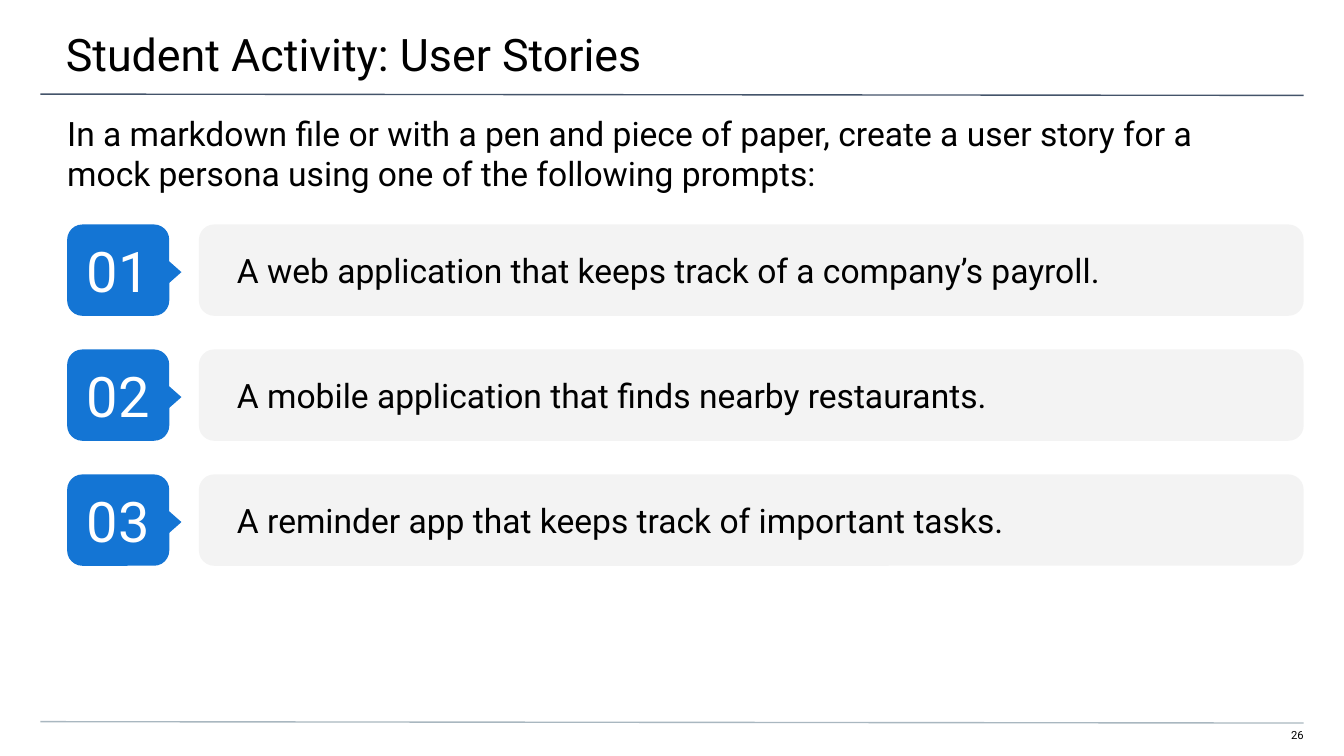
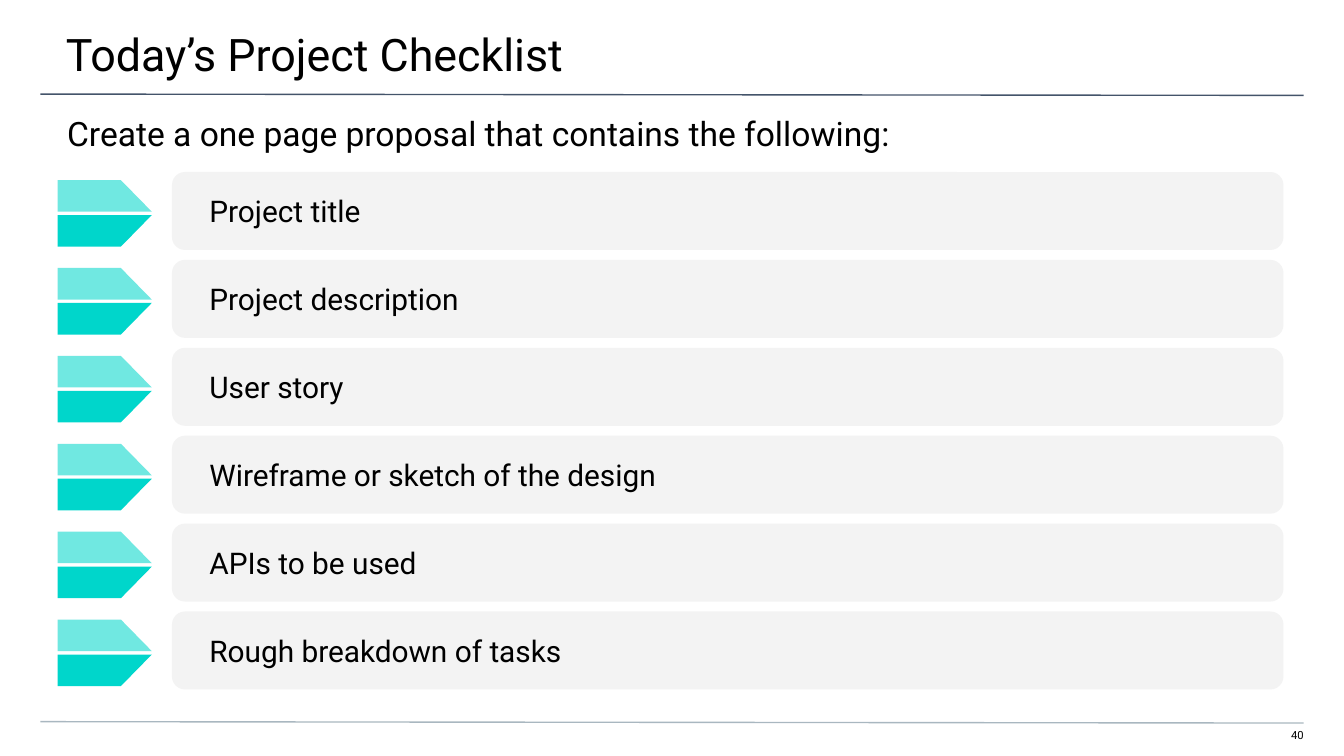
"""Build two lesson slides with numbered prompts and a checklist."""
from dataclasses import dataclass
from typing import Any, NamedTuple

from lxml.etree import SubElement
from pptx import Presentation
from pptx.dml.color import RGBColor
from pptx.enum.shapes import MSO_CONNECTOR, MSO_SHAPE
from pptx.enum.text import MSO_ANCHOR, PP_ALIGN
from pptx.oxml.ns import qn
from pptx.util import Emu, Inches, Pt

COLS, ROWS = 100, 56.25
CELL = Inches(10) / COLS


@dataclass(frozen=True)
class Theme:
    """Colours, type sizes and the font that the slides share."""
    face: str = "Roboto"
    ink: str = "000000"
    white: str = "FFFFFF"
    navy: str = "44546A"
    steel: str = "A9B7C0"
    panel: str = "F3F3F3"
    blue: str = "1475D4"
    teal: str = "00D6CB"
    faint: int = 56
    head: int = 24
    lead: int = 18
    item: int = 16
    badge: int = 30
    foot: int = 6
    rule: float = 0.75
    curve: float = 0.167


class Box(NamedTuple):
    """A place on the grid, in columns and rows."""
    left: float
    top: float
    width: float
    height: float

    def down(self, rows: float) -> "Box":
        """Return the same box moved down."""
        return self._replace(top=self.top + rows)


class Pad(NamedTuple):
    """Text insets in grid cells."""
    left: float
    top: float
    right: float
    bottom: float


class Stack(NamedTuple):
    """A column of equal panels and the step between them."""
    first: Box
    step: float
    size: int
    items: tuple[str, ...]


THEME = Theme()
TITLE, LEAD, PAGE = Box(0, 0, 100, 5.8), Box(0, 7.4, 100, 4), Box(94.1, 54.2, 2.9, 1.2)
RULES = ((7, THEME.navy), (53.7, THEME.steel))
EVEN = Pad(1, 1, 1, 1)
BADGE, TIP = Box(5, 16.7, 7.6, 6.8), Box(10.6, 19.2, 3.7, 2.1)
ARROW, NOTCH, SEAM = Box(4.3, 13.4, 7, 2.35), 2.3, 0.25
PROMPTS = Stack(Box(14.8, 16.7, 82.2, 6.8), 9.3, THEME.lead, (
    "A web application that keeps track of a company’s payroll.",
    "A mobile application that finds nearby restaurants.",
    "A reminder app that keeps track of important tasks.",
))
CHECKS = Stack(Box(12.8, 12.8, 82.7, 5.8), 6.54, THEME.item, (
    "Project title",
    "Project description",
    "User story",
    "Wireframe or sketch of the design",
    "APIs to be used",
    "Rough breakdown of tasks",
))


def grid(cells: float) -> Emu:
    """Turn grid cells into a length."""
    return Emu(round(cells * CELL))


def place(box: Box) -> list[Emu]:
    """Turn a box into slide lengths."""
    return [grid(side) for side in box]


def tint(code: str) -> RGBColor:
    """Turn a hex code into a colour."""
    return RGBColor.from_string(code)


def apply(target: Any, values: dict[str, Any]) -> None:
    """Set each named value on the target."""
    for name, value in values.items():
        setattr(target, name, value)


def write(shape: Any, text: str, size: int, pad: Pad, ink: str = THEME.ink,
          align: PP_ALIGN = PP_ALIGN.LEFT, anchor: MSO_ANCHOR = MSO_ANCHOR.TOP) -> None:
    """Put one styled paragraph in a shape."""
    frame = shape.text_frame
    apply(frame, {"word_wrap": True, "vertical_anchor": anchor})
    apply(frame, {f"margin_{side}": grid(gap) for side, gap in pad._asdict().items()})
    para = frame.paragraphs[0]
    para.alignment = align
    run = para.add_run()
    run.text = text
    apply(run.font, {"name": THEME.face, "size": Pt(size)})
    run.font.color.rgb = tint(ink)


def label(slide: Any, box: Box, text: str, size: int, pad: Pad,
          align: PP_ALIGN = PP_ALIGN.LEFT) -> None:
    """Add a plain text box."""
    write(slide.shapes.add_textbox(*place(box)), text, size, pad, align=align)


def paint(shape: Any, code: str) -> None:
    """Give a shape a flat fill with no line or shadow."""
    shape.shadow.inherit = False
    shape.fill.solid()
    shape.fill.fore_color.rgb = tint(code)
    shape.line.fill.background()


def solid(slide: Any, kind: MSO_SHAPE, box: Box, code: str) -> Any:
    """Add a flat preset shape."""
    shape = slide.shapes.add_shape(kind, *place(box))
    paint(shape, code)
    return shape


def panel(slide: Any, box: Box, code: str, text: str, size: int, pad: Pad,
          **style: Any) -> None:
    """Add a round panel with centred height text."""
    shape = solid(slide, MSO_SHAPE.ROUNDED_RECTANGLE, box, code)
    shape.adjustments[0] = THEME.curve
    write(shape, text, size, pad, anchor=MSO_ANCHOR.MIDDLE, **style)


def rule(slide: Any, top: float, code: str) -> None:
    """Add a thin line across the slide."""
    ends = [grid(cells) for cells in (3, top, 97, top + 0.1)]
    line = slide.shapes.add_connector(MSO_CONNECTOR.STRAIGHT, *ends)
    line.line.width = Pt(THEME.rule)
    line.line.color.rgb = tint(code)
    SubElement(line.element.spPr, qn("a:effectLst"))


def base(deck: Any, title: str, lead: str, page: int) -> Any:
    """Add a slide with its shared title, lead, rules and number."""
    slide = deck.slides.add_slide(deck.slide_layouts[6])
    label(slide, PAGE, str(page), THEME.foot, Pad(0, 0, 0, 1), PP_ALIGN.RIGHT)
    for top, code in RULES:
        rule(slide, top, code)
    label(slide, TITLE, title, THEME.head, Pad(4.9, 2, 3, 1))
    label(slide, LEAD, lead, THEME.lead, Pad(5, 1, 5, 0))
    return slide


def badge(slide: Any, index: int, drop: float) -> None:
    """Add a numbered tile with a tip."""
    panel(slide, BADGE.down(drop), THEME.blue, f"{index + 1:02}", THEME.badge, EVEN,
          ink=THEME.white, align=PP_ALIGN.CENTER)
    tip = solid(slide, MSO_SHAPE.FLOWCHART_EXTRACT, TIP.down(drop), THEME.blue)
    tip.rotation = 90


def half(slide: Any, box: Box, outer: float, inner: float) -> Any:
    """Add half an arrow between its outer and inner edges."""
    right = box.left + box.width
    spots = ((box.left, inner), (right, inner), (right - NOTCH, outer))
    pen = slide.shapes.build_freeform(grid(box.left), grid(outer))
    pen.add_line_segments([(grid(x), grid(y)) for x, y in spots], close=True)
    shape = pen.convert_to_shape()
    paint(shape, THEME.teal)
    return shape


def arrow(slide: Any, index: int, drop: float) -> None:
    """Add a split arrow with a faint upper half."""
    box = ARROW.down(drop)
    seam = box.top + box.height
    upper = half(slide, box, box.top, seam)
    code = upper.element.spPr.find(f"{qn('a:solidFill')}/{qn('a:srgbClr')}")
    SubElement(code, qn("a:alpha"), val=str(THEME.faint * 1000))
    half(slide, box, seam + SEAM + box.height, seam + SEAM)


def fill(slide: Any, stack: Stack, mark: Any) -> None:
    """Add each panel of a stack with its mark."""
    for index, text in enumerate(stack.items):
        drop = index * stack.step
        panel(slide, stack.first.down(drop), THEME.panel, text, stack.size,
              EVEN._replace(left=2.5))
        mark(slide, index, drop)


def main() -> None:
    """Build and save the deck."""
    deck = Presentation()
    apply(deck, {"slide_width": grid(COLS), "slide_height": grid(ROWS)})
    task = base(deck, "Student Activity: User Stories",
                "In a markdown file or with a pen and piece of paper, create a user story "
                "for a mock persona using one of the following prompts:", 26)
    fill(task, PROMPTS, badge)
    plan = base(deck, "Today’s Project Checklist",
                "Create a one page proposal that contains the following:", 40)
    fill(plan, CHECKS, arrow)
    deck.save("out.pptx")


if __name__ == "__main__":
    main()
